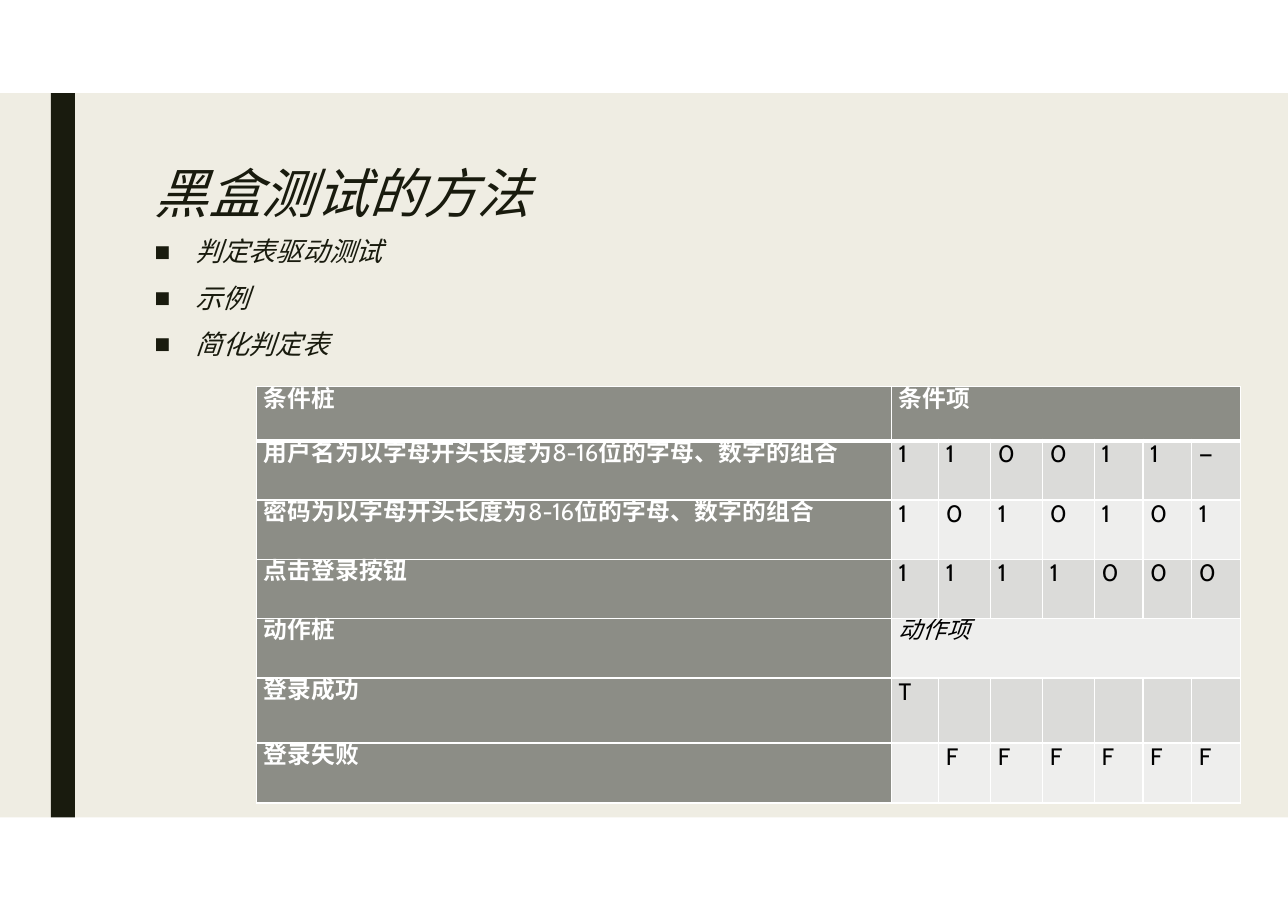
from lxml import etree
from pptx import Presentation
from pptx import util as u
from pptx.dml.color import RGBColor
from pptx.enum import shapes, text
from pptx.oxml.ns import qn

Pt = u.Pt
COLORS = {
    "paper": "EFEDE3", "ink": "191B0E", "label": "8C8D86", "odd": "DBDBD9",
    "even": "EEEEED", "white": "FFFFFF", "black": "000000",
}
CJK = "Noto Sans CJK SC"
LATIN = "Cabin"
COLUMNS = [415.2, 30.8, 34, 34, 33.8, 31.7, 31.9, 31.7]
ROWS = [35.3, 38.8, 38.7, 38.6, 39.2, 42.5, 39.2]
DECISIONS = [
    (["条件桩"], "条件项"),
    (["用户名为以字母开头长度为", "8-16", "位的字母、数字的组合"], list("110011—")),
    (["密码为以字母开头长度为", "8-16", "位的字母、数字的组合"], list("1010101")),
    (["点击登录按钮"], list("1111000")),
    (["动作桩"], "动作项"),
    (["登录成功"], ["T"] + [""] * 6),
    (["登录失败"], [""] + ["F"] * 6),
]


def rgb(color):
    return RGBColor.from_string(COLORS[color])


class SlideBuilder:
    def __init__(self, slide):
        self.slide = slide

    def style(self, font, name, size, color, bold=False, italic=False, spacing=0):
        font.size, font.bold, font.italic = Pt(size), bold, italic
        font.color.rgb = rgb(color)
        font.name = name
        properties = font._element
        etree.SubElement(properties, qn("a:ea"), typeface=name)
        if spacing:
            properties.set("spc", str(spacing))

    def panel(self, left, top, width, height, color):
        shape = self.slide.shapes.add_shape(
            shapes.MSO_SHAPE.RECTANGLE, Pt(left), Pt(top), Pt(width), Pt(height))
        shape.shadow.inherit = False
        shape.fill.solid()
        shape.fill.fore_color.rgb = rgb(color)
        shape.line.fill.background()

    def textbox(self, left, top, width, height, lines, size, gap=0, bullet=None, spacing=0):
        shape = self.slide.shapes.add_textbox(Pt(left), Pt(top), Pt(width), Pt(height))
        frame = shape.text_frame
        frame.word_wrap = True
        frame.vertical_anchor = text.MSO_ANCHOR.TOP
        frame.margin_left = frame.margin_right = frame.margin_top = frame.margin_bottom = 0
        for index, line in enumerate(lines):
            paragraph = frame.paragraphs[0] if index == 0 else frame.add_paragraph()
            paragraph.text = line
            paragraph.line_spacing = Pt(size * 1.2)
            if index:
                paragraph.space_before = Pt(gap)
            if bullet:
                properties = paragraph._p.get_or_add_pPr()
                properties.set("marL", str(Pt(27.4)))
                properties.set("indent", str(-Pt(26.6)))
                etree.SubElement(properties, qn("a:buSzPct"), val="62000")
                etree.SubElement(properties, qn("a:buFont"), typeface=LATIN)
                etree.SubElement(properties, qn("a:buChar"), char=bullet)
            self.style(paragraph.font, CJK, size, "ink", italic=True, spacing=spacing)

    def borders(self, cell, top, bottom):
        properties = cell._tc.get_or_add_tcPr()
        for side, width in (("L", 1), ("R", 1), ("T", top), ("B", bottom)):
            line = etree.SubElement(properties, qn("a:ln" + side), w=str(Pt(width)))
            fill = etree.SubElement(line, qn("a:solidFill"))
            etree.SubElement(fill, qn("a:srgbClr"), val=COLORS["white"])

    def cell(self, cell, parts, fill, color, name=CJK, bold=False, italic=False):
        cell.margin_left = Pt(4.7)
        cell.margin_right = cell.margin_top = cell.margin_bottom = 0
        cell.fill.solid()
        cell.fill.fore_color.rgb = rgb(fill)
        paragraph = cell.text_frame.paragraphs[0]
        paragraph.line_spacing = Pt(17.8 if name == CJK else 18.4)
        spacing = 25 if name == CJK else 0
        if len(parts) == 1:
            paragraph.text = parts[0]
            self.style(paragraph.font, name, 15.5, color, bold, italic, spacing)
            return
        for part in parts:
            run = paragraph.add_run()
            run.text = part
            if part.isascii():
                self.style(run.font, LATIN, 15.5, color)
            else:
                self.style(run.font, name, 15.5, color, bold, italic, spacing)

    def decision_table(self, left, top):
        table = self.slide.shapes.add_table(
            len(ROWS), len(COLUMNS), Pt(left), Pt(top), Pt(sum(COLUMNS)), Pt(sum(ROWS))).table
        table.first_row = table.horz_banding = False
        for column, width in zip(table.columns, COLUMNS):
            column.width = Pt(width)
        for row, height in zip(table.rows, ROWS):
            row.height = Pt(height)
        for index, (label, entries) in enumerate(DECISIONS):
            cells = list(table.rows[index].cells)
            for cell in cells:
                self.borders(cell, 3 if index == 1 else 1, 3 if index == 0 else 1)
            self.cell(cells[0], label, "label", "white", bold=True)
            band = "odd" if index % 2 else "even"
            if isinstance(entries, str):
                cells[1].merge(cells[-1])
                header = index == 0
                self.cell(cells[1], [entries], "label" if header else band,
                          "white" if header else "black", bold=header, italic=not header)
            else:
                for cell, entry in zip(cells[1:], entries):
                    self.cell(cell, [entry], band, "black", LATIN)


def main():
    presentation = Presentation()
    presentation.slide_width, presentation.slide_height = Pt(841.68), Pt(595.44)
    builder = SlideBuilder(presentation.slides.add_slide(presentation.slide_layouts[6]))
    for left, right, color in ((49, 841.68, "paper"), (0, 33.2, "paper"), (33.2, 49, "ink")):
        builder.panel(left, 60.8, right - left, 473.4, color)
    builder.textbox(101, 104.7, 280, 42, ["黑盒测试的方法"], 35, spacing=10)
    builder.textbox(100.3, 153.7, 180, 82, ["判定表驱动测试", "示例", "简化判定表"], 17.5, 9.3, "■")
    builder.decision_table(167.4, 252.7)
    presentation.save("out.pptx")


if __name__ == "__main__":
    main()
